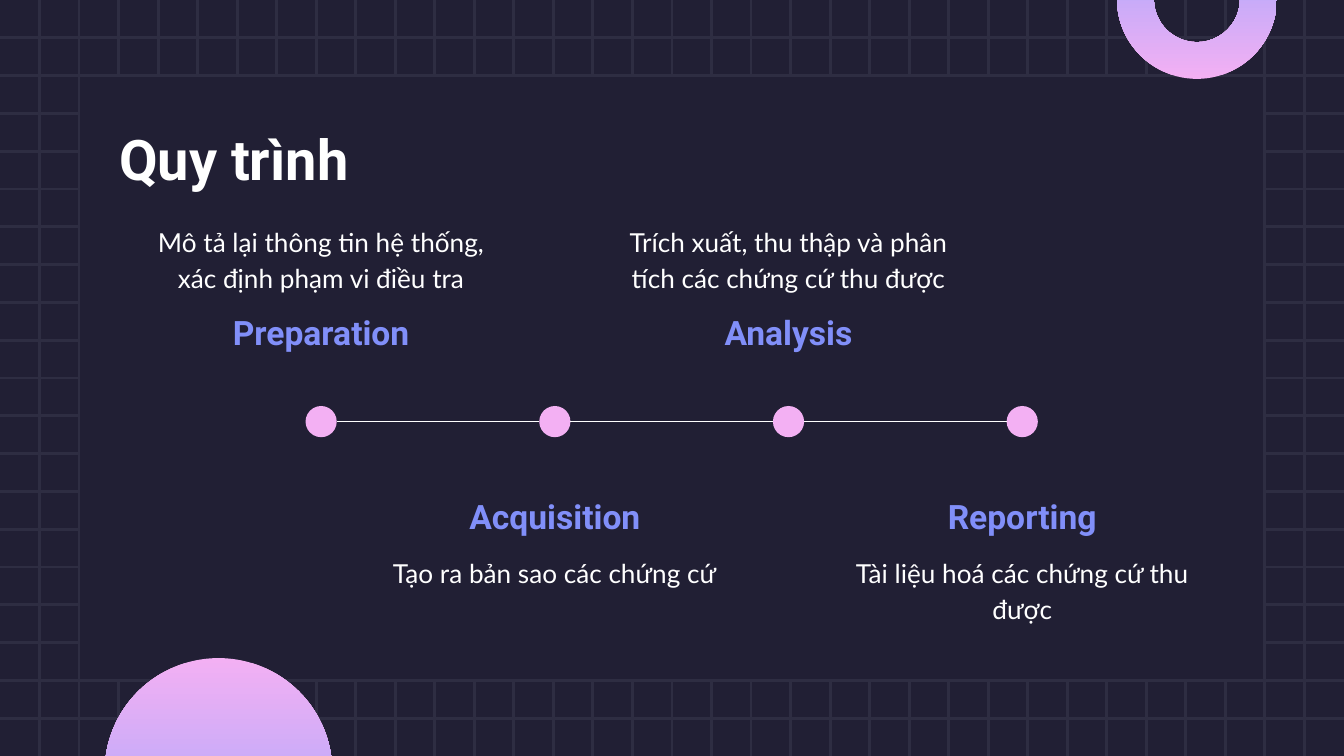
from lxml import etree
from pptx import Presentation
from pptx.dml.color import RGBColor
from pptx.enum.shapes import MSO_CONNECTOR, MSO_SHAPE
from pptx.enum.text import MSO_ANCHOR, MSO_AUTO_SIZE, PP_ALIGN
from pptx.oxml.ns import qn
from pptx.util import Cm, Pt

STRAIGHT = MSO_CONNECTOR.STRAIGHT
RECTANGLE, OVAL, BLOCK_ARC = MSO_SHAPE.RECTANGLE, MSO_SHAPE.OVAL, MSO_SHAPE.BLOCK_ARC
TOP, BOTTOM = MSO_ANCHOR.TOP, MSO_ANCHOR.BOTTOM
LEFT, CENTER = PP_ALIGN.LEFT, PP_ALIGN.CENTER

COLORS = {
    "background": "211F34",
    "grid": "2E2D42",
    "pink": "F3B0F3",
    "blue": "9AA6FF",
    "heading": "818FF9",
    "white": "FFFFFF",
}
WIDTH, HEIGHT = 25.4, 14.29
COLUMNS, ROWS = 34, 20
INSET = 0.25

STEPS = [
    ("Preparation", "Mô tả lại thông tin hệ thống, xác định phạm vi điều tra"),
    ("Acquisition", "Tạo ra bản sao các chứng cứ"),
    ("Analysis", "Trích xuất, thu thập và phân tích các chứng cứ thu được"),
    ("Reporting", "Tài liệu hoá các chứng cứ thu được"),
]


def color(name):
    return RGBColor.from_string(COLORS[name])


def add_line(page, start, end, color_name, weight):
    line = page.shapes.add_connector(STRAIGHT, *map(Cm, start + end))
    line.line.color.rgb = color(color_name)
    line.line.width = Pt(weight)
    etree.SubElement(line._element.spPr, qn("a:effectLst"))


def add_figure(page, kind, box, fill_name=None):
    """Add a borderless shape; without a fill name it gets the pink-to-blue gradient."""
    figure = page.shapes.add_shape(kind, *map(Cm, box))
    figure.shadow.inherit = False
    figure.line.fill.background()
    if fill_name:
        figure.fill.solid()
        figure.fill.fore_color.rgb = color(fill_name)
    else:
        figure.fill.gradient()
        figure.fill.gradient_angle = 270
        for stop, position, name in zip(figure.fill.gradient_stops, (0, 1), ("pink", "blue")):
            stop.position = position
            stop.color.rgb = color(name)
    return figure


def write(shape, text, font, size, color_name, bold=False, align=CENTER, anchor=TOP, spacing=1.15):
    frame = shape.text_frame
    frame.word_wrap = True
    frame.auto_size = MSO_AUTO_SIZE.NONE
    frame.vertical_anchor = anchor
    frame.margin_left = frame.margin_right = Cm(INSET)
    frame.margin_top = frame.margin_bottom = Cm(INSET)
    para = frame.paragraphs[0]
    para.alignment = align
    para.line_spacing = spacing
    span = para.add_run()
    span.text = text
    span.font.name = font
    span.font.size = Pt(size)
    span.font.bold = bold
    span.font.color.rgb = color(color_name)


def add_backdrop(page, box):
    left, top, width, height = box
    column, row = width / COLUMNS, height / ROWS
    for i in range(1, ROWS):
        y = top + i * row
        add_line(page, (left, y), (left + width, y), "grid", 1.5)
    for i in range(1, COLUMNS):
        x = left + i * column
        add_line(page, (x, top), (x, top + height), "grid", 1.5)

    panel_box = (left + 2 * column, top + 2 * row, width - 4 * column, height - 4 * row)
    panel = add_figure(page, RECTANGLE, panel_box, "background")
    panel.line.color.rgb = color("grid")
    panel.line.width = Pt(1.5)

    add_figure(page, OVAL, (left + 1.98, top + 12.44, 4.3, 4.3))
    ring = add_figure(page, BLOCK_ARC, (left + 21.11, top - 1.53, 3.02, 3.02))
    ring.rotation = 180
    for i, value in enumerate((108, 0.36, 0.23)):
        ring.adjustments[i] = value


def place_title(page, box, text):
    title = page.shapes.title
    title.left, title.top, title.width, title.height = map(Cm, box)
    write(title, text, "Roboto", 30, "white", bold=True, align=LEFT, spacing=1)
    # The placeholder comes first in the tree; bring it in front of the backdrop.
    title._element.getparent().append(title._element)


def add_step(page, box, heading, body, above):
    """Fill a column with texts above or below the line through its middle."""
    left, top, width, height = box
    middle = top + height / 2
    heading_top = middle - 2.43 if above else middle + 1.15
    body_top = middle - 4.03 if above else middle + 2.22
    heading_box = page.shapes.add_textbox(*map(Cm, (left, heading_top, width, 1.27)))
    write(heading_box, heading, "Roboto", 18, "heading", bold=True,
          anchor=TOP if above else BOTTOM)
    body_box = page.shapes.add_textbox(*map(Cm, (left, body_top, width, 1.6)))
    write(body_box, body, "Lato", 14, "white")


def add_timeline(page, box):
    left, top, width, height = box
    column, dot = 7.42, 0.59
    gap = (width - column) / (len(STEPS) - 1)
    middle = top + height / 2
    centers = [left + column / 2 + i * gap for i in range(len(STEPS))]
    for i, (heading, body) in enumerate(STEPS):
        step_box = (left + i * gap, top, column, height)
        add_step(page, step_box, heading, body, above=i % 2 == 0)
    for x in centers:
        add_figure(page, OVAL, (x - dot / 2, middle - dot / 2, dot, dot), "pink")
    for x, following in zip(centers, centers[1:]):
        add_line(page, (x + dot / 2, middle), (following - dot / 2, middle), "white", 0.75)


def main():
    deck = Presentation()
    deck.slide_width, deck.slide_height = Cm(WIDTH), Cm(HEIGHT)
    page = deck.slides.add_slide(deck.slide_layouts[5])
    page.background.fill.solid()
    page.background.fill.fore_color.rgb = color("background")
    add_backdrop(page, (0, 0, WIDTH, HEIGHT))
    place_title(page, (2, 2.11, 21.41, 1.6), "Quy trình")
    add_timeline(page, (2.36, 3.94, 20.67, 8.06))
    deck.save("out.pptx")


if __name__ == "__main__":
    main()
